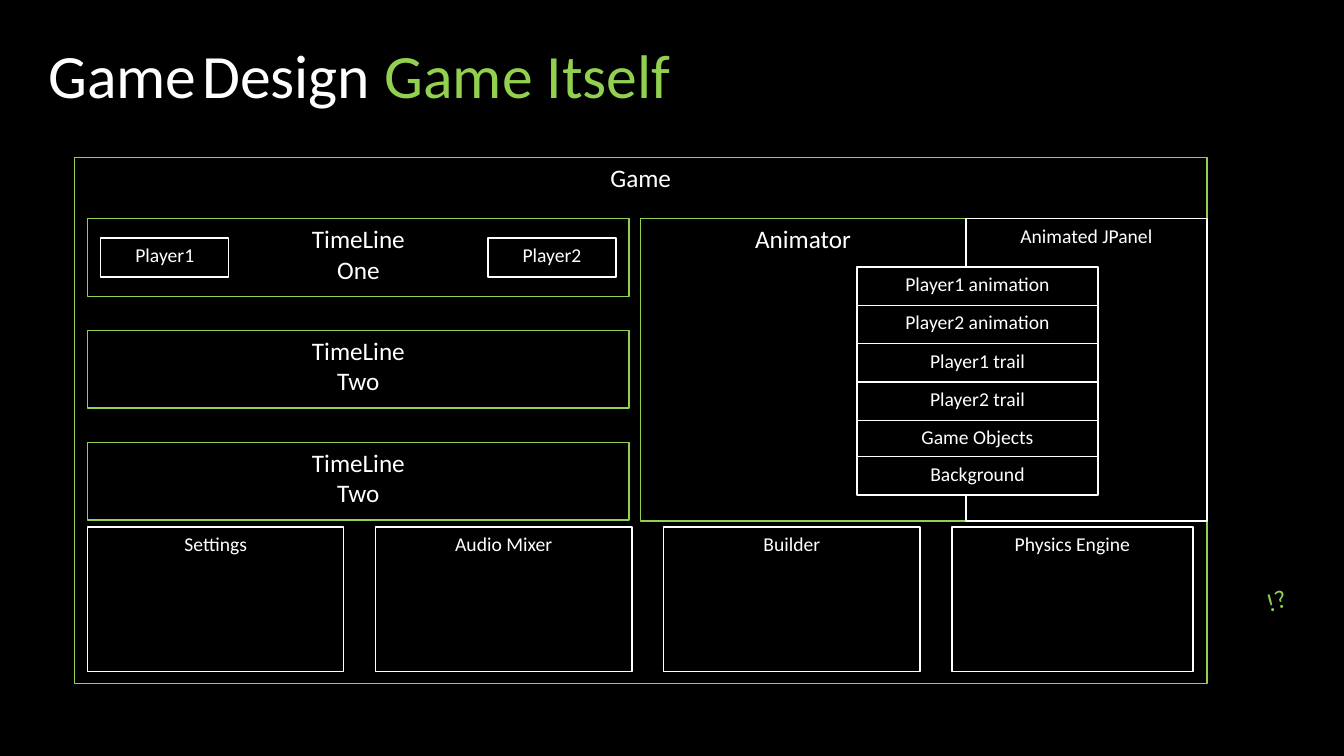
import dataclasses

import pptx
import pptx.dml.color
import pptx.enum.shapes
import pptx.enum.text
import pptx.util

CELL = pptx.util.Inches(0.1)
COLS, ROWS = 133.3, 75


@dataclasses.dataclass(frozen=True)
class Theme:
    """Hold the colours, font and type sizes."""
    back: str = "000000"
    text: str = "FFFFFF"
    green: str = "92D050"
    font: str = "Calibri"
    title: int = 44
    head: int = 18
    label: int = 14


THEME = Theme()


def grid(*cells):
    """Turn counts of grid cells into lengths."""
    return [round(n * CELL) for n in cells]


def paint(fill, tint):
    """Give a fill one solid colour."""
    fill.solid()
    fill.fore_color.rgb = pptx.dml.color.RGBColor.from_string(tint)


def style(run, size, tint):
    """Set the font, size and colour of a run."""
    run.font.name = THEME.font
    run.font.size = pptx.util.Pt(size)
    paint(run.font.fill, tint)


def box(slide, text, area, edge=THEME.text, size=THEME.label):
    """Draw an outlined box with its label at the top."""
    kind = pptx.enum.shapes.MSO_SHAPE.RECTANGLE
    shape = slide.shapes.add_shape(kind, *grid(*area))
    shape.shadow.inherit = False
    paint(shape.fill, THEME.back)
    paint(shape.line.fill, edge)
    shape.line.width = pptx.util.Pt(1)
    frame = shape.text_frame
    frame.vertical_anchor = pptx.enum.text.MSO_ANCHOR.TOP
    frame.text = text
    for para in frame.paragraphs:
        para.alignment = pptx.enum.text.PP_ALIGN.CENTER
        for run in para.runs:
            style(run, size, THEME.text)


def group(slide, text, area):
    """Draw a green box with a larger label."""
    box(slide, text, area, THEME.green, THEME.head)


def note(slide, parts, area, turn=0):
    """Write one line of text from parts of text, size and colour."""
    shape = slide.shapes.add_textbox(*grid(*area))
    shape.rotation = turn
    frame = shape.text_frame
    frame.word_wrap = False
    frame.auto_size = pptx.enum.text.MSO_AUTO_SIZE.SHAPE_TO_FIT_TEXT
    for text, size, tint in parts:
        run = frame.paragraphs[0].add_run()
        run.text = text
        style(run, size, tint)


def main():
    """Build the game design slide."""
    deck = pptx.Presentation()
    deck.slide_width, deck.slide_height = grid(COLS, ROWS)
    slide = deck.slides.add_slide(deck.slide_layouts[6])
    paint(slide.background.fill, THEME.back)

    note(slide, [("Game", THEME.title, THEME.text),
                 (" ", THEME.head, THEME.text),
                 ("Design ", THEME.title, THEME.text),
                 ("Game Itself", THEME.title, THEME.green)],
         (3.8, 3.2, 64.4, 8.4))
    group(slide, "Game", (7.4, 15.6, 112.3, 52.2))
    group(slide, "Animator", (63.5, 21.7, 32.3, 30))
    box(slide, "Animated JPanel", (95.8, 21.7, 23.9, 30))

    parts = [("Settings", 25.4), ("Audio Mixer", 25.4),
             ("Builder", 25.4), ("Physics Engine", 23.9)]
    for col, (name, width) in enumerate(parts):
        box(slide, name, (8.7 + 28.57 * col, 52.3, width, 14.3))

    for row, name in enumerate(["One", "Two", "Two"]):
        group(slide, "TimeLine\n" + name, (8.7, 21.7 + 11.1 * row, 53.7, 7.7))

    for col, name in enumerate(["Player1", "Player2"]):
        box(slide, name, (10 + 38.4 * col, 23.6, 12.7, 3.9))

    layers = ["Player1 animation", "Player2 animation", "Player1 trail",
              "Player2 trail", "Game Objects", "Background"]
    for row, name in enumerate(layers):
        top = min(26.5 + 3.8 * row, 45.3)
        box(slide, name, (85, top, 23.9, 3.8))

    note(slide, [("!?", THEME.head, THEME.green)], (124.6, 57.5, 4, 4), 344.8)
    deck.save("out.pptx")


if __name__ == "__main__":
    main()
